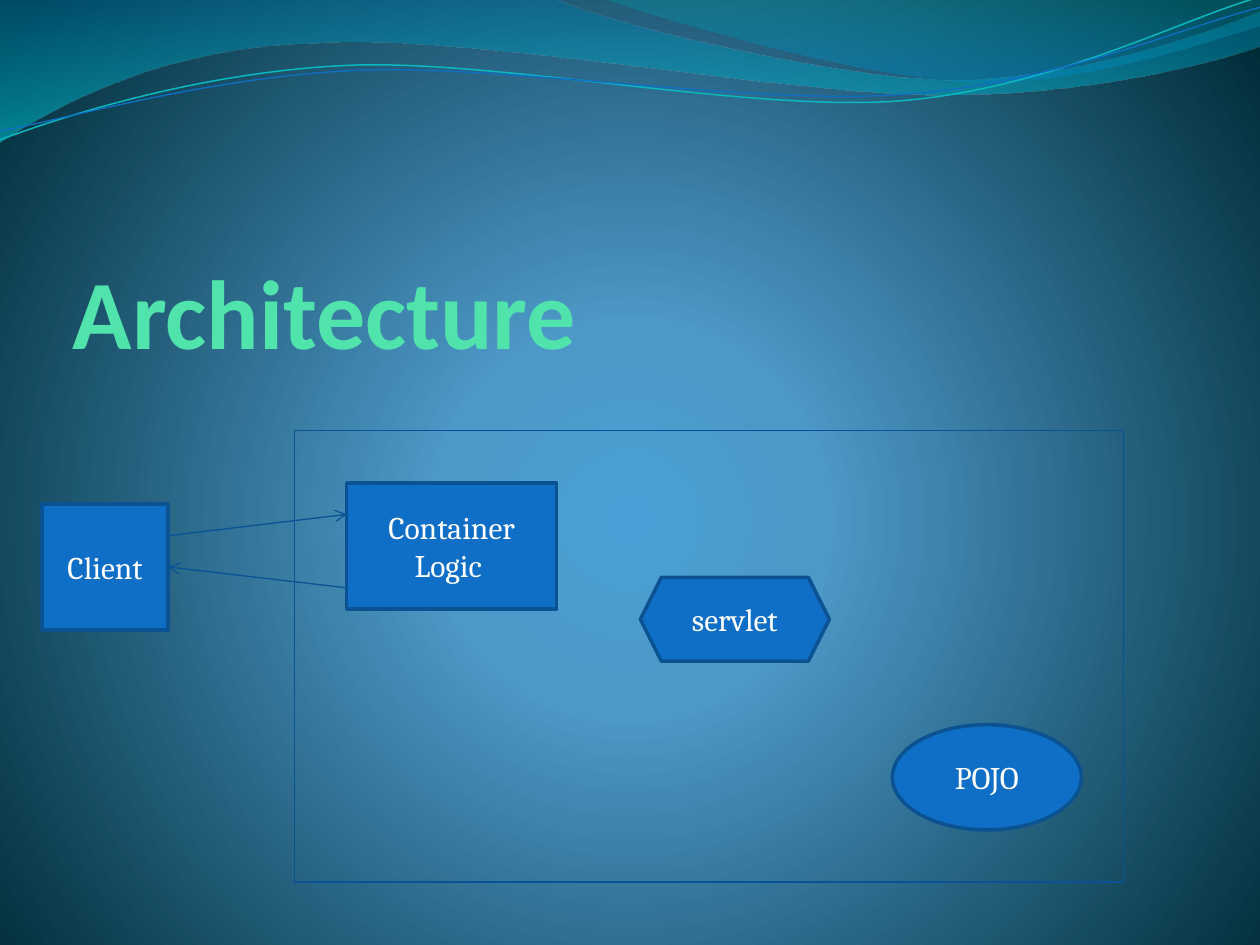
from dataclasses import dataclass

from lxml.etree import SubElement
from pptx import Presentation
from pptx.dml.color import RGBColor
from pptx.enum.shapes import MSO_CONNECTOR, MSO_SHAPE
from pptx.enum.text import MSO_ANCHOR, MSO_AUTO_SIZE, PP_ALIGN
from pptx.oxml.ns import qn
from pptx.util import Cm, Pt


@dataclass(frozen=True)
class Theme:
    title: str = "50E3AC"
    text: str = "FFFFFF"
    fill: str = "0F6FC6"
    edge: str = "0B5292"
    wire: str = "095295"
    aqua: str = "0AB8BF"
    head: str = "Calibri"
    body: str = "Cambria"
    large: float = 56
    small: float = 18
    thick: float = 2
    thin: float = 0.75


THEME = Theme()
TILT = 357.3
GLOW = [(0, "4AA0D6", 100), (25, "4C98C7", 100), (100, "002C38", 100)]
BANDS = [
    ([(0, "0074A1", 45), (100, "00C6CF", 55)],
     [(0, 0), (11.18, -0.03), (12.09, 0.43, 16.87, 1.6, 19.25, 1.6),
      (21.67, 1.6, 24.33, 0.66, 25.4, 0.23), (25.43, 0.91),
      (24.97, 1.12, 22.1, 1.93, 18.95, 1.91),
      (15.8, 1.91, 9.7, 0.71, 6.53, 0.86),
      (3.28, 0.91, 1.17, 2.11, -0.03, 2.87), (0, 0)]),
    ([(0, "00A1A9", 30), (80, "008BBF", 45)],
     [(12.17, -0.03), (12.93, 0.28, 17.32, 1.57, 19.53, 1.65),
      (21.74, 1.75, 24.41, 0.81, 25.4, 0.53), (25.4, 0),
      (12.17, -0.03)]),
]
CURVES = [
    (THEME.aqua, 0.85,
     [(-0.05, 2.22), (1.19, 1.82, 4.02, 1.04, 7.05, 1.05),
      (10.05, 1.07, 15.02, 2.37, 18.08, 2.29),
      (21.13, 2.2, 23.87, 0.91, 25.41, 0.55)]),
    (THEME.fill, THEME.thin,
     [(-0.04, 2.04), (1.16, 1.9, 4.18, 1.15, 7.2, 1.16),
      (10.25, 1.18, 15.13, 2.25, 18.19, 2.16),
      (21.21, 2.1, 23.93, 1.06, 25.45, 0.75)]),
]
NODES = [
    ("Client", MSO_SHAPE.RECTANGLE, (0.85, 10.16, 2.54, 2.54)),
    ("Container Logic ", MSO_SHAPE.RECTANGLE, (6.99, 9.74, 4.23, 2.54)),
    ("servlet", MSO_SHAPE.HEXAGON, (12.91, 11.64, 3.81, 1.69)),
    ("POJO", MSO_SHAPE.OVAL, (17.99, 14.61, 3.81, 2.12)),
]
FRAME = [(5.93, 8.68), (22.65, 8.68), (22.65, 17.78), (5.93, 17.78)]


def apply(item, values):
    for name, value in values.items():
        setattr(item, name, value)


def style(font, face, size, tint, bold=False):
    apply(font, {"name": face, "size": Pt(size), "bold": bold})
    font.color.rgb = RGBColor.from_string(tint)


def stroke(line, tint, width):
    line.color.rgb = RGBColor.from_string(tint)
    line.width = Pt(width)


def blend(fill, root, stops):
    fill.gradient()
    grad = root.find(".//" + qn("a:gradFill"))
    grad.clear()
    steps = SubElement(grad, qn("a:gsLst"))
    for place, tint, alpha in stops:
        stop = SubElement(steps, qn("a:gs"), pos=str(place * 1000))
        color = SubElement(stop, qn("a:srgbClr"), val=tint)
        if alpha < 100:
            SubElement(color, qn("a:alpha"), val=str(alpha * 1000))
    return grad


def paint(slide):
    grad = blend(slide.background.fill, slide._element, GLOW)
    ring = SubElement(grad, qn("a:path"), path="circle")
    SubElement(ring, qn("a:fillToRect"),
               l="10000", t="110000", r="10000", b="100000")


def bend(shape, parts):
    lines = iter(list(shape._element.iter(qn("a:lnTo"))))
    for part in parts:
        group = [next(lines) for pair in range(len(part) // 2)]
        if len(group) == 3:
            group[0].tag_name = None
            track = group[0].getparent()
            cubic = track.makeelement(qn("a:cubicBezTo"))
            track.insert(track.index(group[0]), cubic)
            for line in group:
                cubic.append(line[0])
                track.remove(line)


def outline(slide, parts, close):
    flat = [Cm(value) for part in parts for value in part]
    first, *rest = zip(flat[::2], flat[1::2])
    pen = slide.shapes.build_freeform(*first)
    pen.add_line_segments(rest, close=close)
    shape = pen.convert_to_shape()
    shape.shadow.inherit = False
    bend(shape, parts[1:])
    return shape


def band(slide, stops, parts):
    shape = outline(slide, parts, True)
    grad = blend(shape.fill, shape._element, stops)
    SubElement(grad, qn("a:lin"), ang="5400000", scaled="0")
    shape.line.fill.background()


def curve(slide, tint, width, parts):
    shape = outline(slide, parts, False)
    shape.rotation = TILT
    shape.fill.background()
    stroke(shape.line, tint, width)


def head(slide, text):
    title = slide.shapes.title
    apply(title, {"left": Cm(1.47), "top": Cm(3.66),
                  "width": Cm(21.59), "height": Cm(3.78)})
    frame = title.text_frame
    apply(frame, {"text": text, "auto_size": MSO_AUTO_SIZE.NONE,
                  "vertical_anchor": MSO_ANCHOR.BOTTOM, "margin_left": 0,
                  "margin_top": 0, "margin_right": 0, "margin_bottom": 0})
    frame.paragraphs[0].alignment = PP_ALIGN.LEFT
    style(frame.paragraphs[0].runs[0].font,
          THEME.head, THEME.large, THEME.title, True)


def node(slide, text, kind, box):
    shape = slide.shapes.add_shape(kind, *map(Cm, box))
    shape.shadow.inherit = False
    shape.fill.solid()
    shape.fill.fore_color.rgb = RGBColor.from_string(THEME.fill)
    stroke(shape.line, THEME.edge, THEME.thick)
    frame = shape.text_frame
    apply(frame, {"text": text, "word_wrap": True,
                  "vertical_anchor": MSO_ANCHOR.MIDDLE})
    frame.paragraphs[0].alignment = PP_ALIGN.CENTER
    style(frame.paragraphs[0].runs[0].font,
          THEME.body, THEME.small, THEME.text)
    return shape


def wire(slide, start, end, arrow=False):
    link = slide.shapes.add_connector(
        MSO_CONNECTOR.STRAIGHT, *map(Cm, start + end))
    stroke(link.line, THEME.wire, THEME.thin)
    props = link._element.spPr
    if arrow:
        SubElement(props.find(qn("a:ln")), qn("a:tailEnd"), type="arrow")
    SubElement(props, qn("a:effectLst"))
    return link


def main():
    deck = Presentation()
    apply(deck, {"slide_width": Cm(25.4), "slide_height": Cm(19.05)})
    slide = deck.slides.add_slide(deck.slide_layouts[5])
    paint(slide)
    for item in BANDS:
        band(slide, *item)
    for item in CURVES:
        curve(slide, *item)
    head(slide, "Architecture")
    nodes = [node(slide, *item) for item in NODES]
    for start, end in zip(FRAME, FRAME[1:] + FRAME[:1]):
        wire(slide, start, end)
    wire(slide, (3.39, 10.8), (6.99, 10.37), True)
    reply = wire(slide, (6.99, 11.85), (3.39, 11.43), True)
    reply.end_connect(nodes[0], 3)
    deck.save("out.pptx")


if __name__ == "__main__":
    main()
